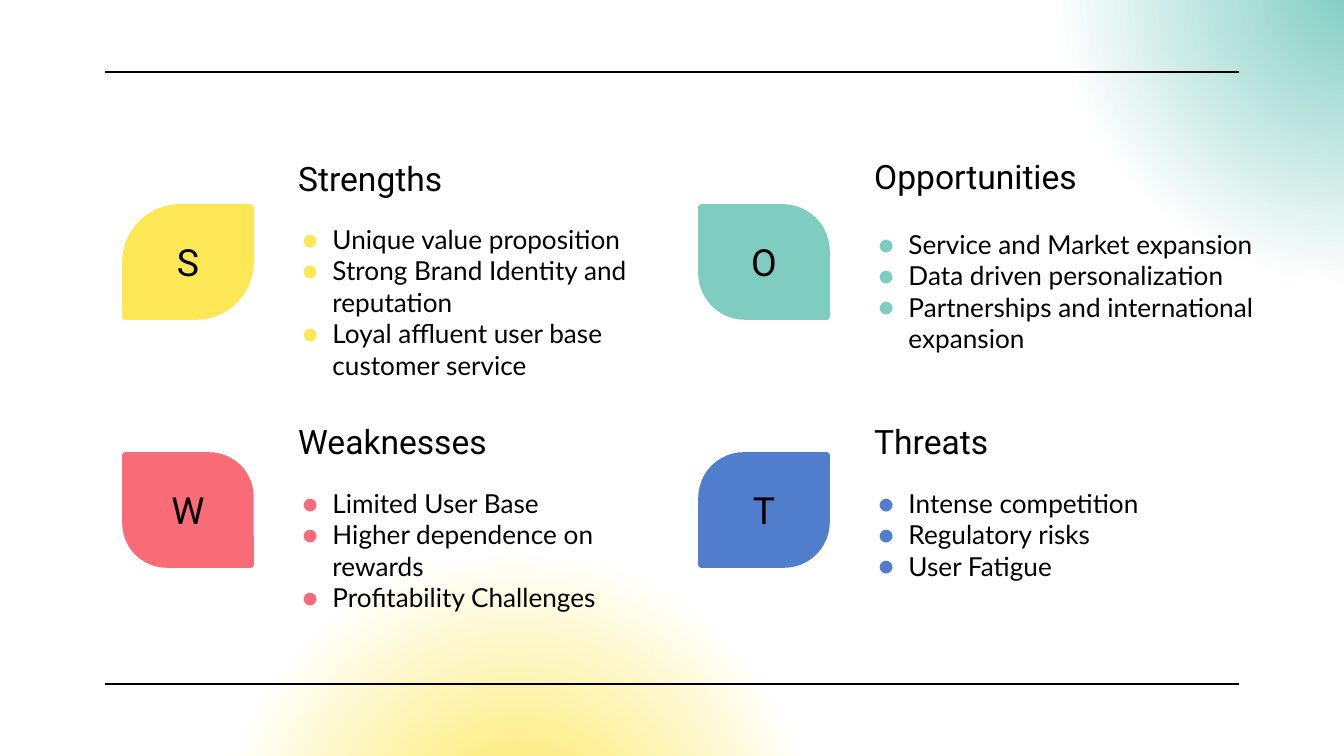
from lxml import etree
from pptx import Presentation
from pptx import util as u
from pptx.dml.color import RGBColor
from pptx.enum import shapes, text
from pptx.oxml import parse_xml
from pptx.oxml.ns import nsdecls, qn

PX = 914400 / 134.4  # EMU in one px
BLACK = RGBColor(0x00, 0x00, 0x00)
WHITE = RGBColor(0xFF, 0xFF, 0xFF)
YELLOW = RGBColor(0xFC, 0xE7, 0x54)
RED = RGBColor(0xF8, 0x6B, 0x77)
TEAL = RGBColor(0x7F, 0xCC, 0xC1)
BLUE = RGBColor(0x50, 0x7D, 0xCC)


def emu(*px):
    return [u.Emu(round(n * PX)) for n in px]


class Deck:
    """Holds the style and the current slide."""
    head_font, body_font = "Roboto", "Lato"
    inset = u.Inches(0.1)

    def __init__(self, wide, high):
        self.file = Presentation()
        self.file.slide_width, self.file.slide_height = emu(wide, high)
        # The comparison layout offers four body placeholders
        self.slide = self.file.slides.add_slide(self.file.slide_layouts[4])
        self.items = self.slide.shapes
        title = self.items.title.element
        title.getparent().remove(title)
        self.bodies = iter(list(self.slide.placeholders))

    def label(self, box, lines, size, font, anchor, align):
        frame = box.text_frame
        frame.text = "\n".join(lines)
        frame.word_wrap = True
        frame.auto_size = text.MSO_AUTO_SIZE.NONE
        frame.vertical_anchor = anchor
        frame.margin_left = frame.margin_right = self.inset
        frame.margin_top = frame.margin_bottom = self.inset
        for para in frame.paragraphs:
            para.alignment = align
            para.space_before = u.Pt(0)
            for run in para.runs:
                run.font.size = u.Pt(size)
                run.font.name = font
                run.font.bold = False
                run.font.color.rgb = BLACK
        return frame

    def glow(self, left, top, size, color):
        disc = self.items.add_shape(shapes.MSO_SHAPE.OVAL, *emu(left, top, size, size))
        disc.shadow.inherit = False
        disc.line.fill.background()
        stops = "".join(
            f'<a:gs pos="{pos}"><a:srgbClr val="{tint}"/></a:gs>'
            for pos, tint in ((0, color), (43000, WHITE), (100000, WHITE)))
        disc.element.spPr.find(qn("a:prstGeom")).addnext(parse_xml(
            f'<a:gradFill {nsdecls("a")}><a:gsLst>{stops}</a:gsLst><a:path path="circle">'
            '<a:fillToRect l="50000" t="50000" r="50000" b="50000"/></a:path></a:gradFill>'))

    def rule(self, left, right, y):
        line = self.items.add_connector(
            shapes.MSO_CONNECTOR.STRAIGHT, *emu(left, y, right, y))
        line.line.color.rgb = BLACK
        line.line.width = u.Pt(0.75)
        etree.SubElement(line.element.spPr, qn("a:effectLst"))

    def leaf(self, left, top, letter, color, bends):
        leaf = self.items.add_shape(
            shapes.MSO_SHAPE.ROUND_2_DIAG_RECTANGLE, *emu(left, top, 126, 110))
        leaf.shadow.inherit = False
        leaf.adjustments[0], leaf.adjustments[1] = bends
        leaf.fill.solid()
        leaf.fill.fore_color.rgb = color
        leaf.line.color.rgb = color
        leaf.line.width = u.Pt(3)
        self.label(leaf, [letter], 20, self.head_font,
                   text.MSO_ANCHOR.MIDDLE, text.PP_ALIGN.CENTER)

    def head(self, left, top, name):
        box = self.items.add_textbox(*emu(left, top, 359, 66))
        self.label(box, [name], 18, self.head_font,
                   text.MSO_ANCHOR.BOTTOM, text.PP_ALIGN.LEFT)

    def points(self, left, top, wide, lines, color):
        box = next(self.bodies)
        box.left, box.top, box.width, box.height = emu(left, top, wide, 163)
        box.element.getparent().append(box.element)  # in front of the glows
        frame = self.label(box, lines, 14, self.body_font,
                           text.MSO_ANCHOR.TOP, text.PP_ALIGN.LEFT)
        margin, indent = emu(34, -30)
        for para in frame.paragraphs:
            props = para._p.get_or_add_pPr()
            props.set("marL", str(margin))
            props.set("indent", str(indent))
            tint = etree.SubElement(props, qn("a:buClr"))
            etree.SubElement(tint, qn("a:srgbClr"), val=str(color))
            etree.SubElement(props, qn("a:buFont"), typeface=self.body_font)
            etree.SubElement(props, qn("a:buChar"), char="●")


# Per part: column, row, name, colour, corner bends, head y, list y, list width, points
PARTS = [
    (0, 0, "Strengths", YELLOW, (0.5, 0), 146, 210, 359,
     ["Unique value proposition", "Strong Brand Identity and reputation",
      "Loyal affluent user base customer service"]),
    (0, 1, "Weaknesses", RED, (0, 0.38), 409, 474, 359,
     ["Limited User Base", "Higher dependence on rewards", "Profitability Challenges"]),
    (1, 0, "Opportunities", TEAL, (0, 0.4), 144, 215, 417,
     ["Service and Market expansion", "Data driven personalization",
      "Partnerships and international expansion"]),
    (1, 1, "Threats", BLUE, (0.39, 0), 409, 474, 359,
     ["Intense competition", "Regulatory risks", "User Fatigue"]),
]


def main():
    deck = Deck(1344, 756)

    # Backdrop
    deck.glow(19, 351, 999, YELLOW)
    deck.glow(856, -513, 999, TEAL)
    for y in (72, 684):
        deck.rule(105, 1239, y)

    # Four parts in a two by two grid
    for col, row, name, color, bends, head, top, wide, lines in PARTS:
        shift = 576 * col
        deck.leaf(125 + shift, 207 + 248 * row, name[0], color, bends)
        deck.head(285 + shift, head, name)
        deck.points(285 + shift, top, wide, lines, color)

    deck.file.save("out.pptx")


if __name__ == "__main__":
    main()
